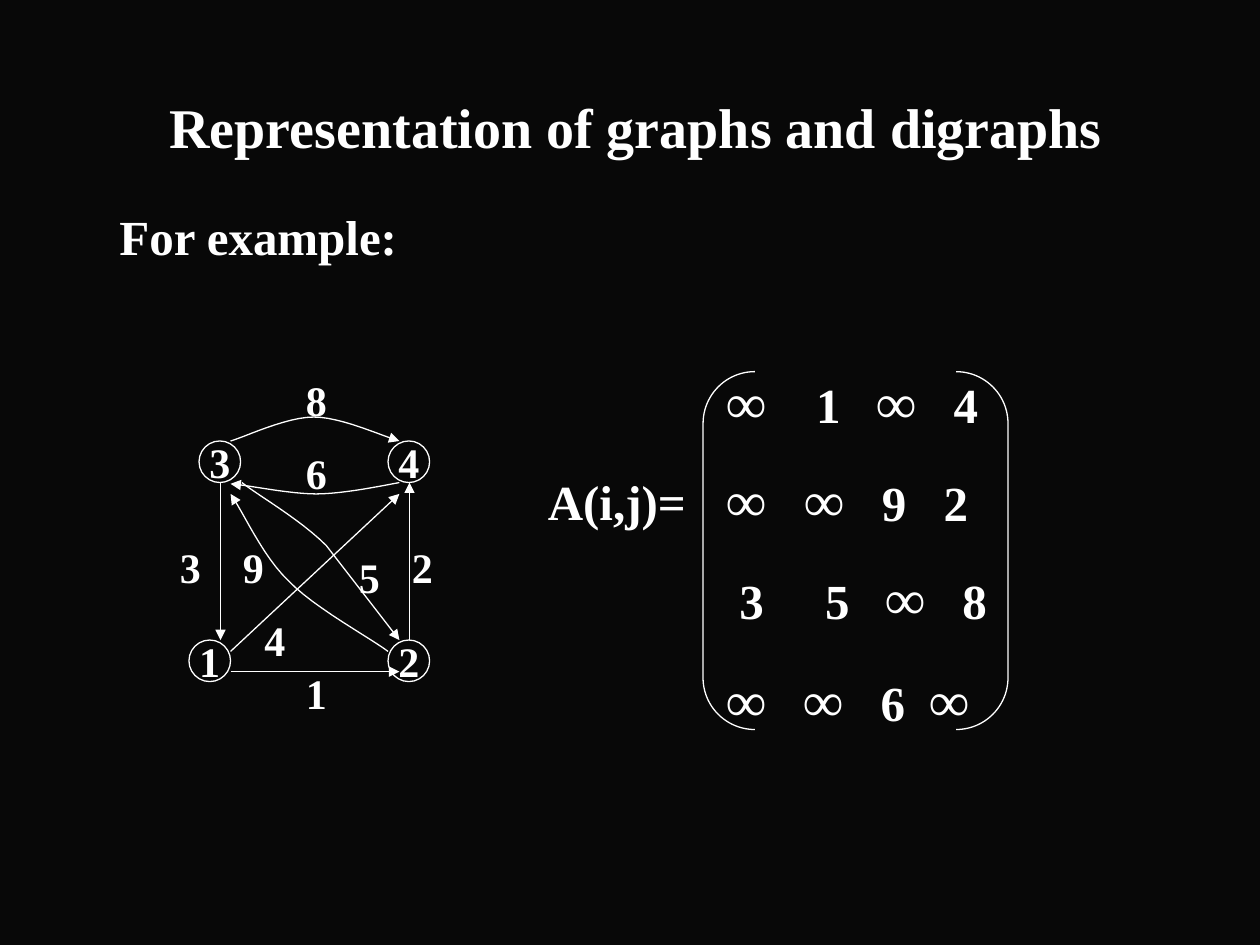
from lxml.etree import SubElement as Sub
from pptx import Presentation
from pptx.dml.color import RGBColor
from pptx.enum.shapes import MSO_CONNECTOR as Link, MSO_SHAPE as Form
from pptx.enum.text import MSO_ANCHOR as Anchor, PP_ALIGN as Align
from pptx.oxml.ns import qn
from pptx.util import Cm, Pt


def size(*vals):
    """Turn inches into lengths."""
    return [Cm(2.54 * val) for val in vals]


def paint(part, code):
    """Give a fill, line or font a solid hex colour."""
    fill = part if hasattr(part, "solid") else part.fill
    fill.solid()
    fill.fore_color.rgb = RGBColor.from_string(code)


def curve(start, *arcs):
    """Points along joined cubic arcs; a lone point makes a straight leg."""
    pts, steps = [start], 12
    for arc in arcs:
        a = pts[-1]
        if len(arc) == 1:
            pts += arc
            continue
        b, c, d = arc
        for n in range(1, steps + 1):
            t = n / steps
            u = 1 - t
            pts.append(tuple(
                u**3 * p + 3 * u * u * t * q + 3 * u * t * t * r + t**3 * s
                for p, q, r, s in zip(a, b, c, d)))
    return pts


class Board:
    ink, back, face = "FFFFFF", "080808", "Times New Roman"
    thin = Pt(0.75)

    def __init__(self, deck):
        self.slide = deck.slides.add_slide(deck.slide_layouts[6])
        self.shapes = self.slide.shapes
        paint(self.slide.background.fill, self.back)

    def label(self, para, text, pts, big=None):
        """Add bold runs; the infinity sign takes the big size."""
        for piece in text.replace("∞", "|∞|").split("|"):
            if piece:
                run = para.add_run()
                run.text = piece
                form = {"name": self.face, "bold": True,
                        "size": Pt(big if big and piece == "∞" else pts)}
                for key, val in form.items():
                    setattr(run.font, key, val)
                paint(run.font, self.ink)

    def text(self, box, text, pts, align=Align.LEFT, anchor=Anchor.TOP):
        frame = self.shapes.add_textbox(*size(*box)).text_frame
        frame.word_wrap = True
        frame.vertical_anchor = anchor
        para = frame.paragraphs[0]
        para.alignment = align
        if text:
            self.label(para, text, pts)
        return frame

    def outline(self, shape, arrow=False):
        paint(shape.line, self.ink)
        shape.line.width = self.thin
        if arrow:
            edge = shape._element.spPr.find(qn("a:ln"))
            Sub(edge, qn("a:tailEnd"), type="triangle")

    def shape(self, form, box):
        item = self.shapes.add_shape(form, *size(*box))
        item.shadow.inherit = False
        item.fill.background()
        self.outline(item)
        return item

    def node(self, x, y, text):
        item = self.shape(Form.OVAL, (x, y, 0.33, 0.33))
        frame = item.text_frame
        frame.word_wrap = False
        frame.vertical_anchor = Anchor.MIDDLE
        frame.paragraphs[0].alignment = Align.CENTER
        self.label(frame.paragraphs[0], text, 24)

    def line(self, *ends):
        item = self.shapes.add_connector(Link.STRAIGHT, *size(*ends))
        self.outline(item, arrow=True)
        Sub(item._element.spPr, qn("a:effectLst"))

    def bend(self, start, *arcs):
        first, *rest = [size(*pt) for pt in curve(start, *arcs)]
        pen = self.shapes.build_freeform(*first)
        pen.add_line_segments(rest, close=False)
        item = pen.convert_to_shape()
        item.shadow.inherit = False
        item.fill.background()
        self.outline(item, arrow=True)

    def matrix(self, box, rows):
        """One paragraph a row, its entries set on tab stops."""
        frame = self.text(box, "", 28)
        for n, (text, gap, stops) in enumerate(rows):
            para = frame.add_paragraph() if n else frame.paragraphs[0]
            para.space_before = Pt(gap)
            tabs = Sub(para._p.get_or_add_pPr(), qn("a:tabLst"))
            for stop in size(*stops):
                Sub(tabs, qn("a:tab"), pos=str(stop), algn="l")
            self.label(para, text, 28, 32)


def main():
    deck = Presentation()
    deck.slide_width, deck.slide_height = size(10, 7.5)
    board = Board(deck)

    # Heading and lead
    board.text((0.8, 0.67, 8.5, 0.66), "Representation of graphs and digraphs",
               32, Align.CENTER, Anchor.MIDDLE)
    board.text((0.85, 1.59, 8.4, 0.6), "For example:", 28)

    # Nodes
    for x, y, name in ((1.58, 3.5, "3"), (3.08, 3.5, "4"),
                       (1.5, 5.08, "1"), (3.08, 5.08, "2")):
        board.node(x, y, name)

    # Curved edges
    board.bend((1.83, 3.5), ((1.94, 3.47), (2.27, 3.31), (2.49, 3.31)),
               ((2.71, 3.31), (3.03, 3.46), (3.17, 3.5)))
    board.bend((3.17, 3.83), ((3.06, 3.85), (2.73, 3.92), (2.51, 3.92)),
               ((2.29, 3.92), (1.97, 3.85), (1.83, 3.84)))
    board.bend((1.92, 3.83), ((2.03, 3.92), (2.38, 4.12), (2.59, 4.33)),
               ((3.17, 5.08),))
    board.bend((3.08, 5.17), ((2.95, 5.07), (2.49, 4.82), (2.29, 4.61)),
               ((2.08, 4.41), (1.93, 4.06), (1.83, 3.92)))

    # Straight edges
    for ends in ((1.75, 3.83, 1.75, 5.08), (3.25, 5.08, 3.25, 3.83),
                 (1.83, 5.33, 3.17, 5.33), (1.83, 5.17, 3.17, 3.92)):
        board.line(*ends)

    # Edge weights
    for x, y, wide, cost in (
            (2.33, 2.92, 1, "8"), (2.33, 3.5, 0.42, "6"),
            (3.17, 4.25, 0.5, "2"), (1.33, 4.25, 0.75, "3"),
            (2.33, 5.25, 0.67, "1"), (2, 4.83, 0.37, "4"),
            (1.83, 4.25, 0.58, "9"), (2.75, 4.33, 0.42, "5")):
        board.text((x, y, wide, 0.5), cost, 24)

    # Matrix
    board.text((4.25, 3.69, 1.67, 0.57), "A(i,j)=", 28)
    pair = board.shape(Form.DOUBLE_BRACKET, (5.58, 2.95, 2.42, 2.84))
    pair.adjustments[0] = 0.17
    board.matrix((5.67, 2.87, 2.5, 3), (
        ("∞\t1\t∞\t4", 17.5, (0.71, 1.19, 1.8)),
        ("∞\t∞\t9\t2", 17.5, (0.62, 1.23, 1.72)),
        ("\t3\t5\t∞\t8", 17.5, (0.1, 0.78, 1.26, 1.87)),
        ("∞\t∞\t6\t∞", 20, (0.61, 1.22, 1.61))))

    deck.save("out.pptx")


if __name__ == "__main__":
    main()
